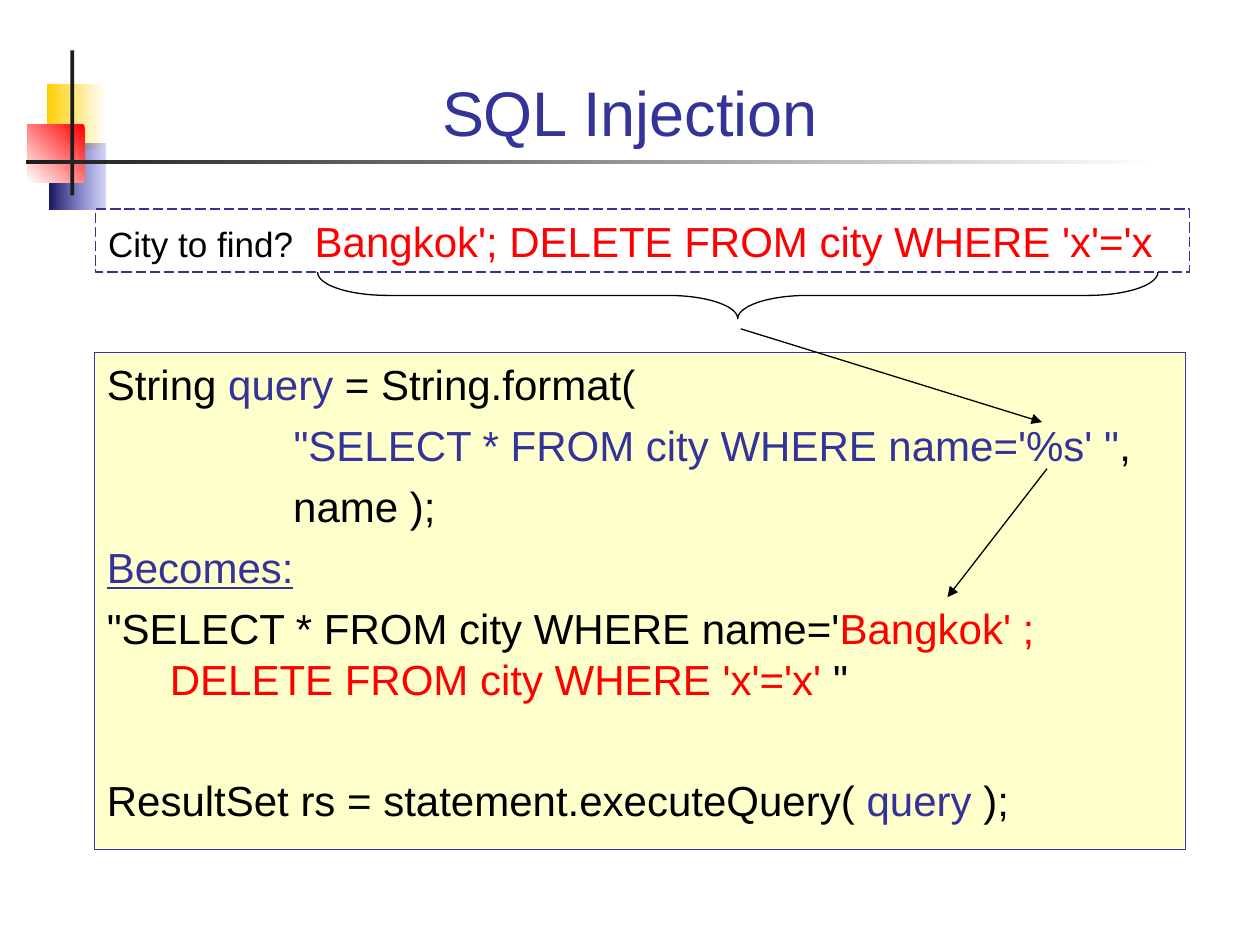
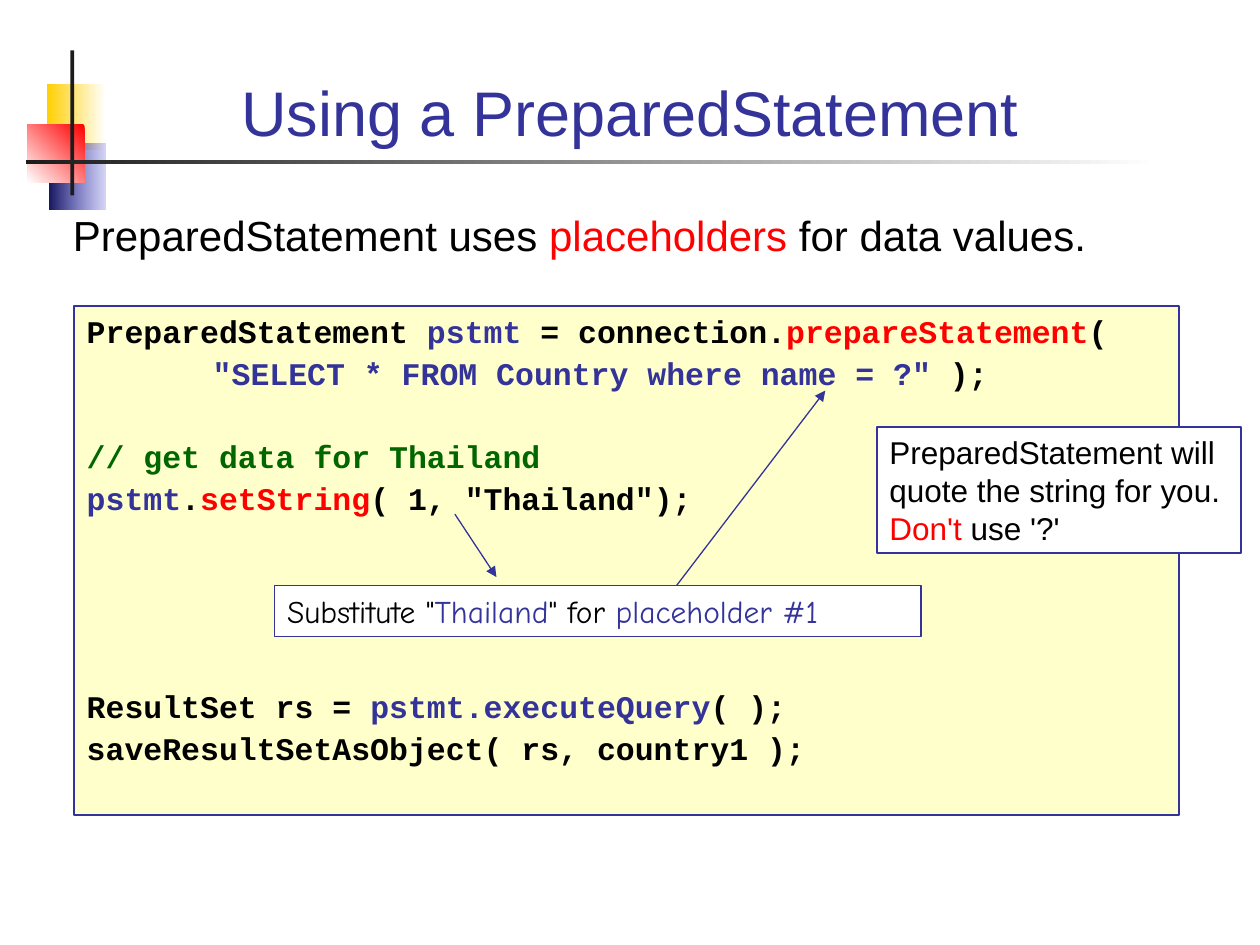
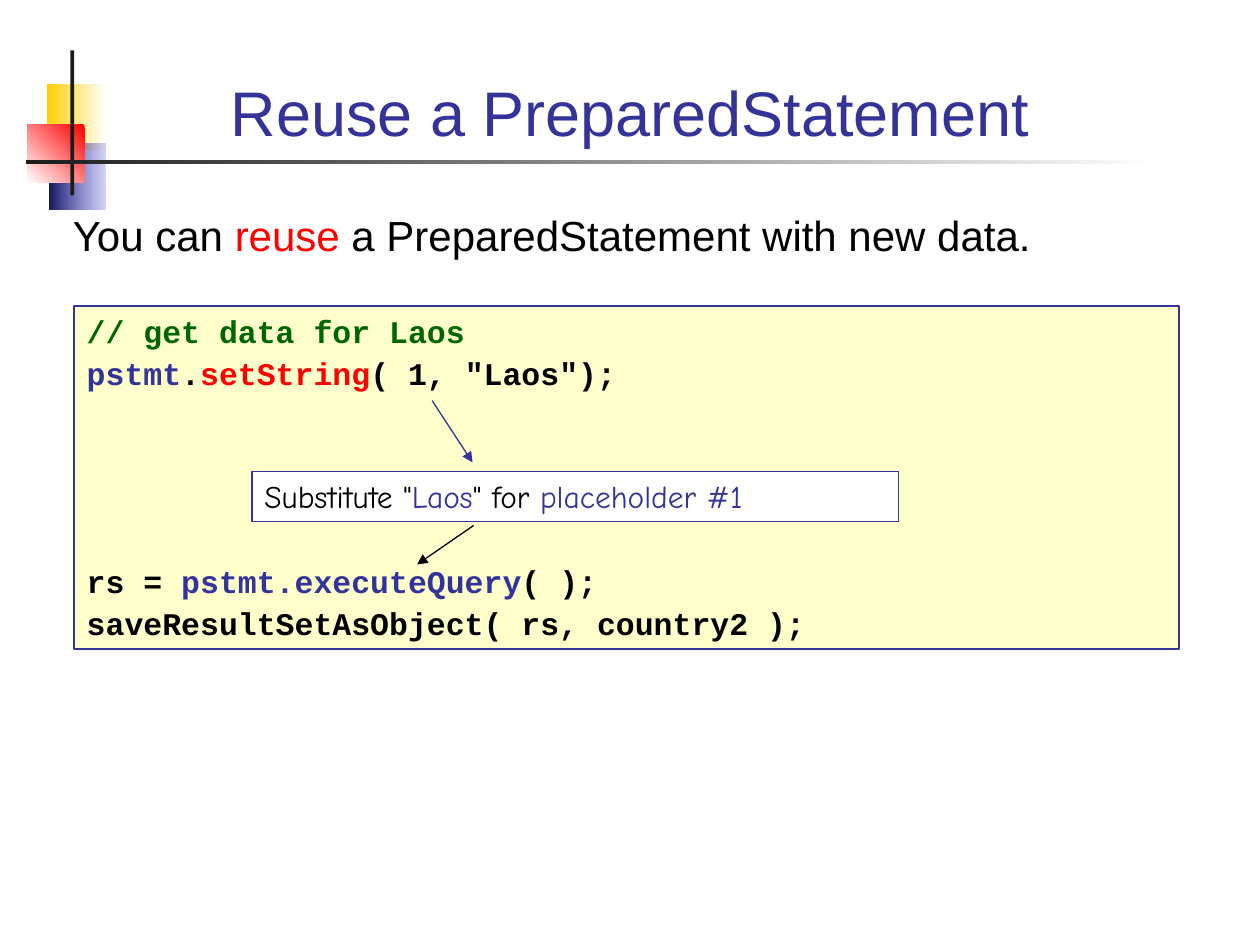
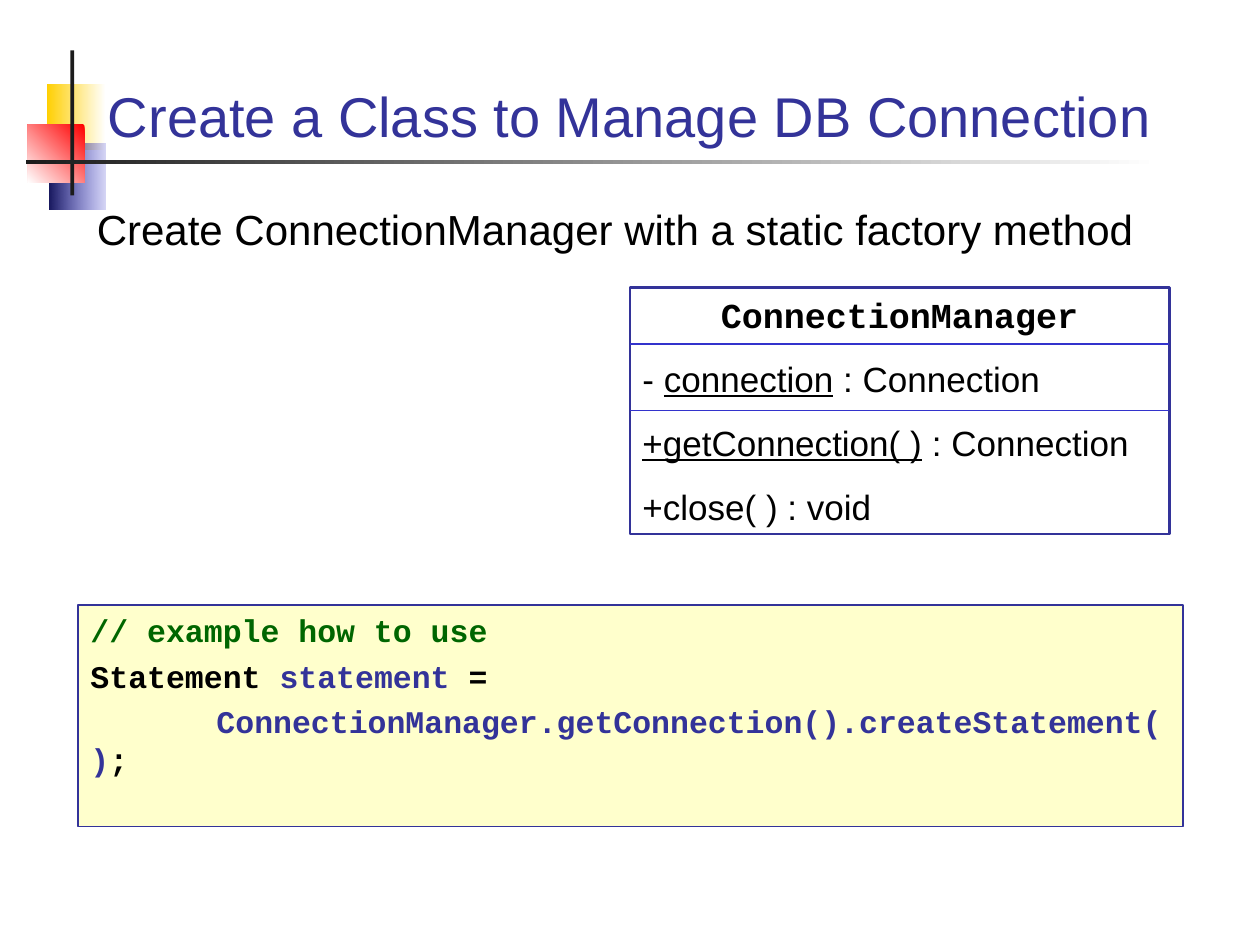
from dataclasses import dataclass

from lxml import etree
from pptx import Presentation
from pptx.dml.color import RGBColor
from pptx.enum.dml import MSO_LINE
from pptx.enum.shapes import MSO_CONNECTOR, MSO_SHAPE
from pptx.enum.text import MSO_ANCHOR, PP_ALIGN
from pptx.oxml.ns import qn
from pptx.util import Inches, Pt

RECTANGLE = MSO_SHAPE.RECTANGLE
RIGHT_BRACE = MSO_SHAPE.RIGHT_BRACE
STRAIGHT = MSO_CONNECTOR.STRAIGHT
LONG_DASH = MSO_LINE.LONG_DASH
TOP, BOTTOM = MSO_ANCHOR.TOP, MSO_ANCHOR.BOTTOM
LEFT, CENTER = PP_ALIGN.LEFT, PP_ALIGN.CENTER

# Palette
BLACK = RGBColor(0x00, 0x00, 0x00)
WHITE = RGBColor(0xFF, 0xFF, 0xFF)
INDIGO = RGBColor(0x33, 0x33, 0x99)
RED = RGBColor(0xFF, 0x00, 0x00)
GREEN = RGBColor(0x00, 0x66, 0x00)
CREAM = RGBColor(0xFF, 0xFF, 0xCC)
GOLD = RGBColor(0xFF, 0xCF, 0x01)
BLUE = RGBColor(0x33, 0x33, 0xCC)
NAVY = RGBColor(0x17, 0x17, 0x5E)
CHARCOAL = RGBColor(0x1C, 0x1C, 0x1C)

# Text styles: size in points, font name, bold, space before each later line
SANS = {"size": 24, "name": "Arial", "bold": False, "before": 6}
CODE = {"size": 18, "name": "Courier New", "bold": True, "before": 2.2}
LOOSE_CODE = {**CODE, "before": 4.5}
CALLOUT = {**SANS, "size": 18}
HANDWRITTEN = {**CALLOUT, "name": "Comic Neue"}
UML = {**SANS, "size": 20, "before": 12.5}

LEADING = 1.2
TAB_STOP = Inches(1)
BODY_AREA = (0.48, 1.61, 8.99, 0.63)


@dataclass
class Line:
    """One paragraph: runs are (text, formats); skip is the number of line gaps above."""
    runs: list
    skip: int = 0
    align: int = LEFT


def plain(text, **formats):
    return text, {"color": BLACK, **formats}


def blue(text, **formats):
    return text, {"color": INDIGO, **formats}


def red(text):
    return text, {"color": RED}


def comment(text):
    return text, {"color": GREEN}


# Text
def write_run(paragraph, text, formats):
    run = paragraph.add_run()
    run.text = text
    for attribute, value in formats.items():
        if attribute == "color":
            run.font.color.rgb = value
        elif attribute == "size":
            run.font.size = Pt(value)
        else:
            setattr(run.font, attribute, value)


def write_lines(frame, lines, style, hanging=0, anchor=TOP):
    frame.word_wrap = True
    frame.vertical_anchor = anchor
    base = {key: style[key] for key in ("size", "name", "bold")}
    pitch = style["before"] + LEADING * style["size"]
    for index, line in enumerate(lines):
        paragraph = frame.paragraphs[0] if index == 0 else frame.add_paragraph()
        paragraph.alignment = line.align
        paragraph.line_spacing = Pt(LEADING * style["size"])
        paragraph.space_before = Pt(style["before"] + line.skip * pitch if index else 0)
        properties = paragraph._p.get_or_add_pPr()
        if hanging:
            properties.set("marL", str(Inches(hanging)))
            properties.set("indent", str(-Inches(hanging)))
        if any("\t" in text for text, _ in line.runs):
            tabs = etree.SubElement(properties, qn("a:tabLst"))
            etree.SubElement(tabs, qn("a:tab"), pos=str(TAB_STOP), algn="l")
        for text, formats in line.runs:
            write_run(paragraph, text, {**base, **formats})


def add_text(slide, area, lines, style, **layout):
    label = slide.shapes.add_textbox(*map(Inches, area))
    write_lines(label.text_frame, lines, style, **layout)


def add_box(slide, area, lines, style, fill=None, width=0.75, hanging=0):
    box = slide.shapes.add_shape(RECTANGLE, *map(Inches, area))
    box.shadow.inherit = False
    if fill is None:
        box.fill.background()
    else:
        box.fill.solid()
        box.fill.fore_color.rgb = fill
    box.line.color.rgb = INDIGO
    box.line.width = Pt(width)
    write_lines(box.text_frame, lines, style, hanging)
    return box


# Lines
def add_line(slide, start, end, color=BLACK, arrow=True):
    line = slide.shapes.add_connector(STRAIGHT, *map(Inches, (*start, *end)))
    line.line.color.rgb = color
    line.line.width = Pt(0.75)
    if arrow:
        etree.SubElement(line.line._get_or_add_ln(), qn("a:tailEnd"), type="triangle")
    etree.SubElement(line._element.spPr, qn("a:effectLst"))
    return line


def add_brace(slide, left, top, length, depth):
    """A brace that opens upward and points down."""
    brace = slide.shapes.add_shape(
        RIGHT_BRACE, Inches(left + (length - depth) / 2),
        Inches(top + (depth - length) / 2), Inches(depth), Inches(length))
    brace.rotation = 90
    brace.adjustments[0] = 1.5
    brace.shadow.inherit = False
    brace.fill.background()
    brace.line.color.rgb = BLACK
    brace.line.width = Pt(0.75)


# Shared slide frame
def add_ornament(slide, area, first, last, angle=180, first_opacity=None):
    tile = slide.shapes.add_shape(RECTANGLE, *map(Inches, area))
    tile.shadow.inherit = False
    tile.line.fill.background()
    if first == last:
        tile.fill.solid()
        tile.fill.fore_color.rgb = first
        return
    tile.fill.gradient()
    tile.fill.gradient_angle = angle
    for stop, color in zip(tile.fill.gradient_stops, (first, last)):
        stop.color.rgb = color
    if first_opacity is not None:
        color = tile._element.spPr.find(".//" + qn("a:srgbClr"))
        etree.SubElement(color, qn("a:alpha"), val=str(first_opacity * 1000))


def start_slide(deck, title, size=36):
    slide = deck.slides.add_slide(deck.slide_layouts[6])
    add_ornament(slide, (0.37, 0.67, 0.47, 0.52), WHITE, GOLD)
    add_ornament(slide, (0.39, 1.14, 0.45, 0.52), BLUE, NAVY, first_opacity=20)
    add_ornament(slide, (0.22, 0.99, 0.45, 0.46), RED, WHITE, angle=225)
    add_ornament(slide, (0.56, 0.4, 0.03, 1.15), CHARCOAL, CHARCOAL)
    add_ornament(slide, (0.21, 1.27, 8.99, 0.03), WHITE, CHARCOAL)
    add_text(slide, (0.67, 0.28, 8.66, 0.95), [Line([blue(title)], align=CENTER)],
             {**SANS, "size": size}, anchor=BOTTOM)
    return slide


# Elements of the prepared statement slides
def set_string_lines(country, skip=0):
    return [
        Line([comment(f"// get data for {country}")], skip),
        Line([blue("pstmt"), plain("."), red("setString"), plain(f'( 1, "{country}");')]),
    ]


def run_query_lines(result, target, skip):
    return [
        Line([plain(f"{result} = "), blue("pstmt.executeQuery"), plain("( );")], skip),
        Line([plain(f"saveResultSetAsObject( rs, {target} );")]),
    ]


def add_substitution(slide, left, top, country):
    runs = [plain('Substitute "'), blue(country), plain('" for '), blue("placeholder #1")]
    add_box(slide, (left, top, 5.13, 0.4), [Line(runs)], HANDWRITTEN, WHITE)


# Slides
def build_injection(deck):
    slide = start_slide(deck, "SQL Injection")
    margin = " " * 16
    add_box(slide, (0.75, 2.8, 8.66, 3.94), [
        Line([plain("String "), blue("query"), plain(" = String.format(")]),
        Line([plain(margin), blue("\"SELECT * FROM city WHERE name='%s' \""), plain(",")]),
        Line([plain(margin + "name );")]),
        Line([blue("Becomes:", underline=True)]),
        Line([plain("\"SELECT * FROM city WHERE name='"),
              red("Bangkok' ; DELETE FROM city WHERE 'x'='x' "), plain('"')]),
        Line([plain("ResultSet rs = statement.executeQuery( "), blue("query"),
              plain(" );")], skip=1),
    ], SANS, CREAM, hanging=0.5)
    prompt = add_box(slide, (0.76, 1.66, 8.68, 0.5), [
        Line([plain("City to find? ", size=20), plain(" "),
              red("Bangkok'; DELETE FROM city WHERE 'x'='x")])], SANS)
    prompt.line.dash_style = LONG_DASH
    add_brace(slide, 2.52, 2.16, length=6.67, depth=0.37)
    add_line(slide, (5.88, 2.61), (8.27, 3.35))
    add_line(slide, (8.31, 3.72), (7.52, 4.74))


def build_prepared(deck):
    slide = start_slide(deck, "Using a PreparedStatement")
    add_text(slide, BODY_AREA, [
        Line([plain("PreparedStatement uses "), red("placeholders"),
              plain(" for data values.")])], SANS, hanging=0.5)
    add_box(slide, (0.59, 2.43, 8.77, 4.04), [
        Line([plain("PreparedStatement "), blue("pstmt"), plain(" = connection."),
              red("prepareStatement"), plain("(")]),
        Line([plain("\t"), blue('"SELECT * FROM Country where name = ?"'), plain(" );")]),
        *set_string_lines("Thailand", skip=1),
        *run_query_lines("ResultSet rs", "country1", skip=4),
    ], CODE, CREAM, width=1)
    add_line(slide, (3.61, 4.08), (3.94, 4.58), INDIGO)
    add_box(slide, (6.96, 3.39, 2.89, 1), [
        Line([plain("PreparedStatement will quote the string for you. "),
              red("Don't"), plain(" use '?'")])], CALLOUT, WHITE)
    add_line(slide, (5.36, 4.66), (6.55, 3.1), INDIGO)
    add_substitution(slide, 2.18, 4.65, "Thailand")


def build_reuse(deck):
    slide = start_slide(deck, "Reuse a PreparedStatement")
    add_text(slide, BODY_AREA, [
        Line([plain("You can "), red("reuse"),
              plain(" a PreparedStatement with new data.")])], SANS, hanging=0.5)
    add_box(slide, (0.59, 2.43, 8.77, 2.72), [
        *set_string_lines("Laos"),
        *run_query_lines("rs", "country2", skip=4),
    ], CODE, CREAM, width=1)
    add_line(slide, (3.43, 3.18), (3.75, 3.67), INDIGO)
    add_substitution(slide, 2, 3.74, "Laos")
    add_line(slide, (3.76, 4.17), (3.31, 4.48))


def build_manager(deck):
    slide = start_slide(deck, "Create a Class to Manage DB Connection", size=32)
    add_text(slide, (0.67, 1.57, 8.66, 0.57), [
        Line([plain("Create ConnectionManager with a static factory method")])],
        SANS, hanging=0.5)

    # Class diagram
    manager = add_box(slide, (5, 2.28, 4.28, 1.96), [
        Line([plain("ConnectionManager", name="Courier New", bold=True)], align=CENTER),
        Line([plain("- "), plain("connection", underline=True), plain(" : Connection")]),
        Line([plain("+getConnection( )", underline=True), plain(" : Connection")]),
        Line([plain("+close( ) : void")]),
    ], UML, width=1.5)
    add_line(slide, (5, 2.73), (9.28, 2.73), BLUE, arrow=False)
    methods_rule = add_line(slide, (5, 3.26), (9.28, 3.26), BLUE, arrow=False)
    methods_rule.begin_connect(manager, 1)
    methods_rule.end_connect(manager, 3)

    # Usage
    add_box(slide, (0.62, 4.8, 8.77, 1.76), [
        Line([comment("// example how to use")]),
        Line([plain("Statement "), blue("statement"), plain(" =")]),
        Line([plain("\t"), blue("ConnectionManager.getConnection().createStatement( )"),
              plain(";")]),
    ], LOOSE_CODE, CREAM, width=1)


def main():
    deck = Presentation()
    deck.slide_width, deck.slide_height = Inches(10), Inches(7.5)
    for build in (build_injection, build_prepared, build_reuse, build_manager):
        build(deck)
    deck.save("out.pptx")


if __name__ == "__main__":
    main()
